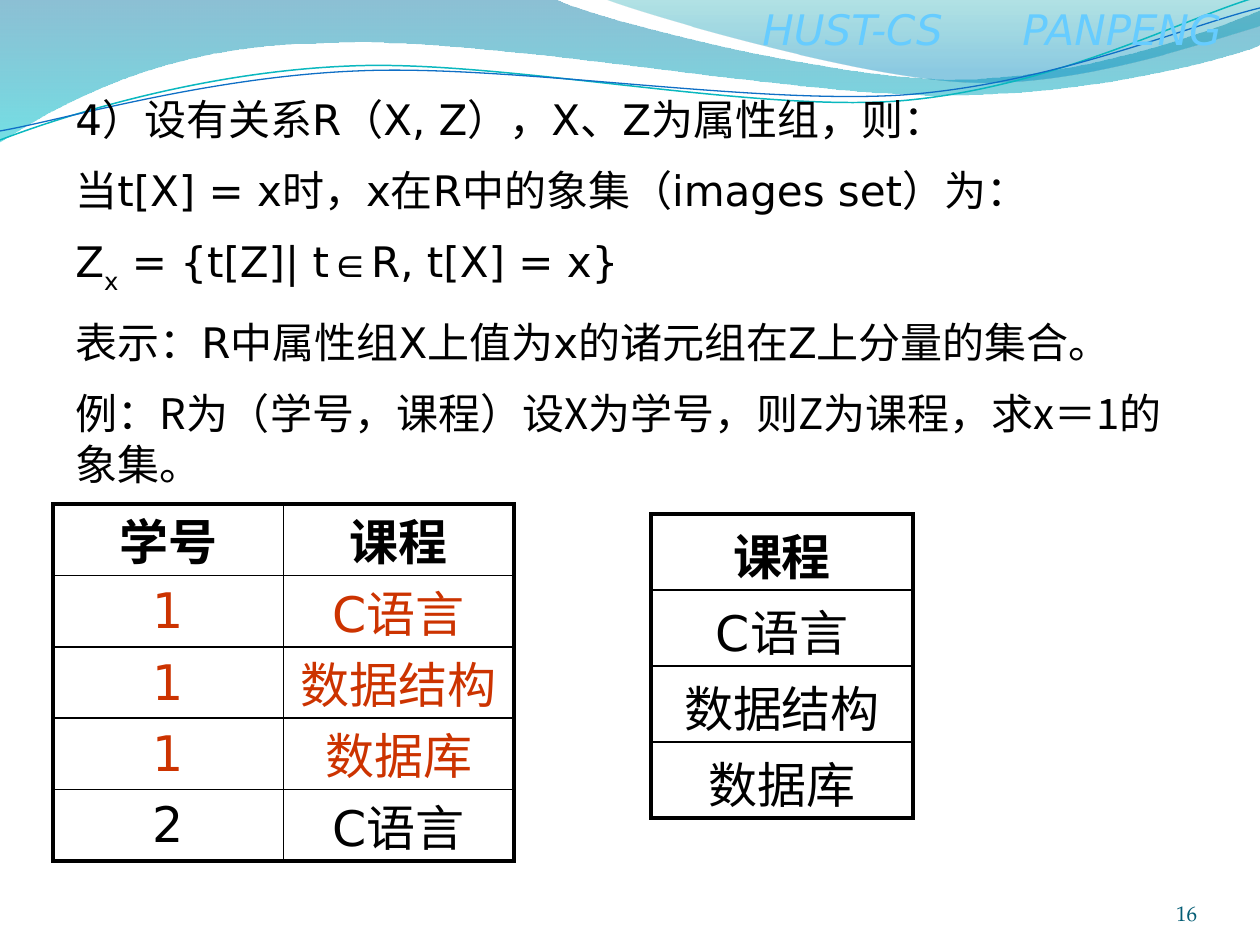
from itertools import groupby

from lxml import etree
from pptx import Presentation
from pptx.dml.color import RGBColor
from pptx.enum.text import MSO_ANCHOR, PP_ALIGN
from pptx.oxml.ns import qn
from pptx.util import Emu, Pt

LEFT, CENTER, RIGHT = PP_ALIGN.LEFT, PP_ALIGN.CENTER, PP_ALIGN.RIGHT
TOP, BOTTOM = MSO_ANCHOR.TOP, MSO_ANCHOR.BOTTOM

SCALE = 914400 / 126
SANS, CJK = "DejaVu Sans", "Noto Sans CJK SC"
SERIF, PAGELLA = "Times New Roman", "TeX Gyre Pagella"

BLACK = RGBColor(0x00, 0x00, 0x00)
RED = RGBColor(0xCC, 0x33, 0x00)
SKY = RGBColor(0x66, 0xCC, 0xFF)
NAVY = RGBColor(0x04, 0x5D, 0x75)
TEAL = RGBColor(0x0A, 0xB8, 0xBF)
BLUE = RGBColor(0x0F, 0x6F, 0xC6)
DEEP_BLUE = RGBColor(0x00, 0x74, 0xA1)
CYAN = RGBColor(0x00, 0xC6, 0xCF)
SEA_GREEN = RGBColor(0x00, 0xA1, 0xA9)
OCEAN = RGBColor(0x00, 0x8B, 0xBF)

BACK_WAVE = [
    ((0, -1),), ((554, -1),),
    ((600, 21), (837, 79), (955, 79)), ((1075, 79), (1207, 33), (1260, 11)),
    ((1261, 45),),
    ((1239, 55), (1096, 96), (940, 95)), ((784, 95), (481, 35), (324, 43)),
    ((163, 44), (58, 105), (-1, 142)),
]
FRONT_WAVE = [
    ((604, -1),),
    ((641, 14), (859, 78), (969, 82)), ((1079, 87), (1211, 40), (1260, 26)),
    ((1260, 0),),
]
TEAL_STRAND = [
    ((0, 140),),
    ((60, 117), (199, 72), (349, 66)), ((498, 59), (747, 112), (898, 101)),
    ((1050, 89), (1182, 19), (1257, -3)),
]
BLUE_STRAND = [
    ((0, 131),),
    ((59, 121), (207, 77), (357, 71)), ((508, 64), (752, 105), (903, 95)),
    ((1053, 84), (1186, 26), (1260, 8)),
]

DEFINITION = [
    (("4）设有关系R（X, Z），X、Z为属性组，则：",), SANS, SERIF, CJK, 0),
    (("当t[X] = x时，x在R中的象集（images set）为：",), SANS, SERIF, CJK, 11.5),
    (("Z", "x", " = {t[Z]| t∈R, t[X] = x}"), SANS, SERIF, SERIF, 17),
    (("表示：R中属性组X上值为x的诸元组在Z上分量的集合。",), SANS, CJK, CJK, 12),
    (("例：R为（学号，课程）设X为学号，则Z为课程，求x＝1的象集。",), CJK, CJK, CJK, 11.5),
]
ENROLMENT = [("学号", "课程"), ("1", "C语言"), ("1", "数据结构"), ("1", "数据库"), ("2", "C语言")]
IMAGE_SET = [("课程",), ("C语言",), ("数据结构",), ("数据库",)]


def px(length):
    """Turn px into EMU."""
    return Emu(round(length * SCALE))


def add_run(paragraph, text, size, color, name, asian, bold, italic, subscript):
    """Add one formatted run."""
    run = paragraph.add_run()
    run.text = text
    font = run.font
    font.size, font.bold, font.italic = Pt(size), bold, italic
    font.color.rgb = color
    font.name = name
    properties = run._r.get_or_add_rPr()
    if subscript:
        properties.set("baseline", "-30000")
    etree.SubElement(properties, qn("a:ea")).set("typeface", asian)


def write(paragraph, pieces, size, color=BLACK, latin=SANS, east=SANS, asian=CJK,
          bold=False, italic=False, align=LEFT, before=0, line=None):
    """Write pieces of text, every second one as a subscript, splitting runs by font."""
    paragraph.alignment = align
    paragraph.space_before = Pt(before)
    if line:
        paragraph.line_spacing = Pt(line)
    for index, piece in enumerate(pieces):
        for name, letters in groupby(piece, lambda letter: east if letter >= "\u2000" else latin):
            add_run(paragraph, "".join(letters), size, color, name, asian, bold, italic,
                    index % 2)


def add_frame(slide, left, top, width, height, inset=True, anchor=TOP):
    """Add a wrapping text box and return its text frame."""
    frame = slide.shapes.add_textbox(px(left), px(top), px(width), px(height)).text_frame
    frame.word_wrap = True
    frame.vertical_anchor = anchor
    if not inset:
        frame.margin_left = frame.margin_right = frame.margin_top = frame.margin_bottom = 0
    return frame


def add_outline(slide, left, top, segments, close):
    """Add a freeform of lines and cubic curves relative to left and top."""
    points = [(px(left + x), px(top + y)) for segment in segments for x, y in segment]
    builder = slide.shapes.build_freeform(*points[0])
    builder.add_line_segments(points[1:], close=close)
    shape = builder.convert_to_shape()
    shape.shadow.inherit = False
    lines = iter(list(shape._element.spPr.iter(qn("a:lnTo"))))
    for segment in segments[1:]:
        group = [next(lines) for point in segment]
        if len(group) == 3:
            curve = etree.Element(qn("a:cubicBezTo"))
            group[0].addprevious(curve)
            for line in group:
                curve.append(line[0])
                line.getparent().remove(line)
    return shape


def add_wave(slide, left, top, segments, stops):
    """Add a wave with a translucent downward gradient."""
    shape = add_outline(slide, left, top, segments, True)
    shape.line.fill.background()
    shape.fill.gradient()
    shape.fill.gradient_angle = 270
    for stop, (position, color, opacity) in zip(shape.fill.gradient_stops, stops):
        stop.position = position
        stop.color.rgb = color
    colors = shape._element.spPr.iter(qn("a:srgbClr"))
    for element, (position, color, opacity) in zip(list(colors), stops):
        etree.SubElement(element, qn("a:alpha")).set("val", str(opacity * 1000))


def add_strand(slide, left, top, segments, color, width):
    """Add a thin open curve."""
    shape = add_outline(slide, left, top, segments, False)
    shape.fill.background()
    shape.line.color.rgb = color
    shape.line.width = Pt(width)


def add_header(slide, left, top):
    """Draw the waves, the strands and the course label."""
    add_wave(slide, left, top, BACK_WAVE, [(0, DEEP_BLUE, 45), (1, CYAN, 55)])
    add_wave(slide, left, top, FRONT_WAVE, [(0, SEA_GREEN, 30), (0.8, OCEAN, 45)])
    add_strand(slide, left, top, TEAL_STRAND, TEAL, 0.85)
    add_strand(slide, left, top, BLUE_STRAND, BLUE, 0.75)
    paragraph = add_frame(slide, left + 750, top - 3, 510, 63).paragraphs[0]
    tabs = etree.SubElement(paragraph._p.get_or_add_pPr(), qn("a:tabLst"))
    etree.SubElement(tabs, qn("a:tab"), pos=str(px(260)), algn="l")
    write(paragraph, ["HUST-CS\tPANPENG"], 24, SKY, italic=True)


def add_definition(slide, left, top, width, height):
    """Write the definition of the image set."""
    frame = add_frame(slide, left, top, width, height)
    for index, (pieces, latin, east, asian, before) in enumerate(DEFINITION):
        paragraph = frame.add_paragraph() if index else frame.paragraphs[0]
        write(paragraph, pieces, 24, latin=latin, east=east, asian=asian, before=before, line=29)


def add_border(cell, side, width):
    """Draw one black border of a cell."""
    properties = cell._tc.get_or_add_tcPr()
    line = etree.SubElement(properties, qn(f"a:ln{side}"), w=str(Pt(width)))
    fill = etree.SubElement(line, qn("a:solidFill"))
    etree.SubElement(fill, qn("a:srgbClr"), val=str(BLACK))


def add_relation(slide, left, top, width, height, rows, red_rows=()):
    """Add a relation table with a thick frame and thin inner lines."""
    row_count, column_count = len(rows), len(rows[0])
    row_height = height / row_count
    table = slide.shapes.add_table(
        row_count, column_count, px(left), px(top), px(width), px(height)).table
    table.first_row = table.horz_banding = False
    for column in table.columns:
        column.width = px(width / column_count)
    for r, texts in enumerate(rows):
        table.rows[r].height = px(row_height)
        for c, text in enumerate(texts):
            cell = table.cell(r, c)
            cell.margin_top = px(row_height - (59 if text.isdigit() else 53))
            cell.margin_bottom = 0
            write(cell.text_frame.paragraphs[0], [text], 28, RED if r in red_rows else BLACK,
                  bold=r == 0, align=CENTER, line=30)
            outer = {"L": c == 0, "R": c == column_count - 1,
                     "T": r == 0, "B": r == row_count - 1}
            for side, thick in outer.items():
                add_border(cell, side, 2.25 if thick else 1)
            cell.fill.background()


def add_page_number(slide, left, top, width, height):
    """Write the page number."""
    frame = add_frame(slide, left, top, width, height, inset=False, anchor=BOTTOM)
    write(frame.paragraphs[0], ["16"], 12, NAVY, latin=PAGELLA, align=RIGHT)


def main():
    """Build and save the slide."""
    presentation = Presentation()
    presentation.slide_width, presentation.slide_height = px(1260), px(945)
    slide = presentation.slides.add_slide(presentation.slide_layouts[6])
    add_header(slide, 0, 0)
    add_page_number(slide, 1092, 876, 105, 50)
    add_definition(slide, 63, 87, 1144, 416)
    add_relation(slide, 53, 504, 461, 357, ENROLMENT, red_rows=(1, 2, 3))
    add_relation(slide, 651, 514, 262, 304, IMAGE_SET)
    presentation.save("out.pptx")


if __name__ == "__main__":
    main()
